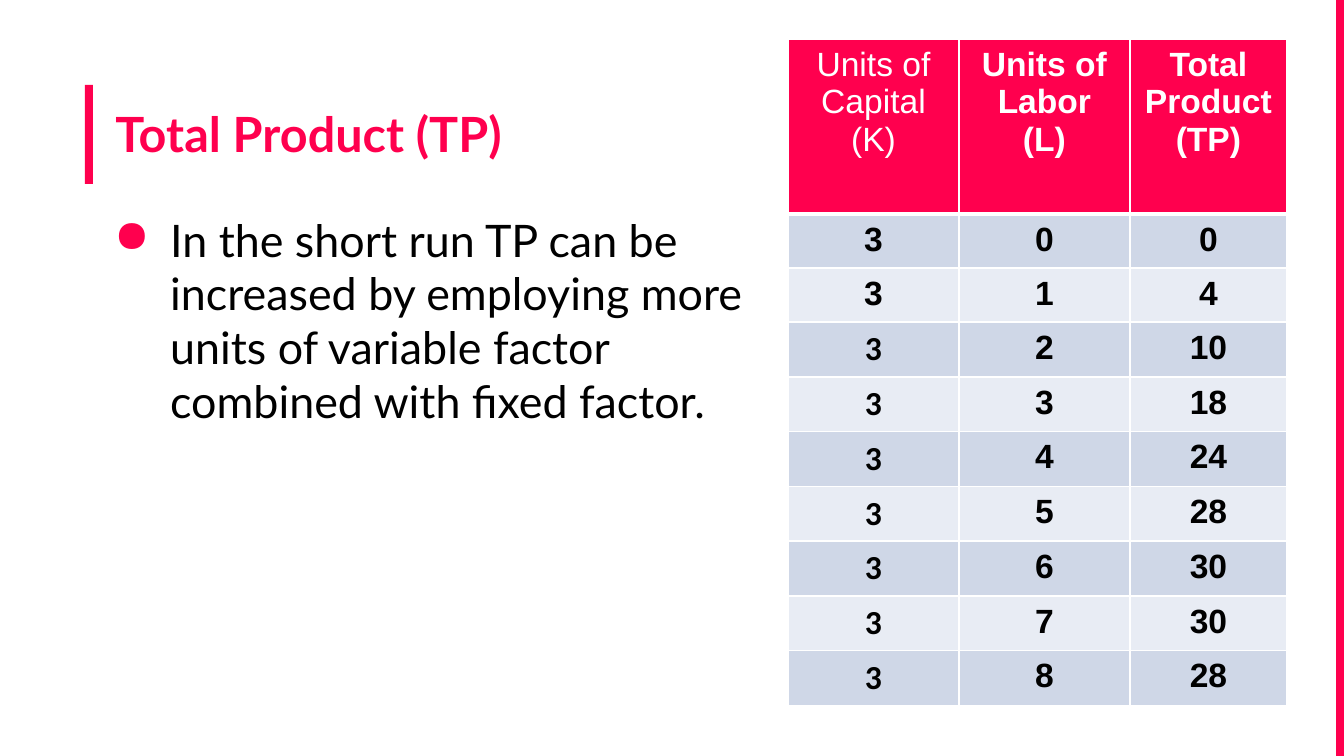
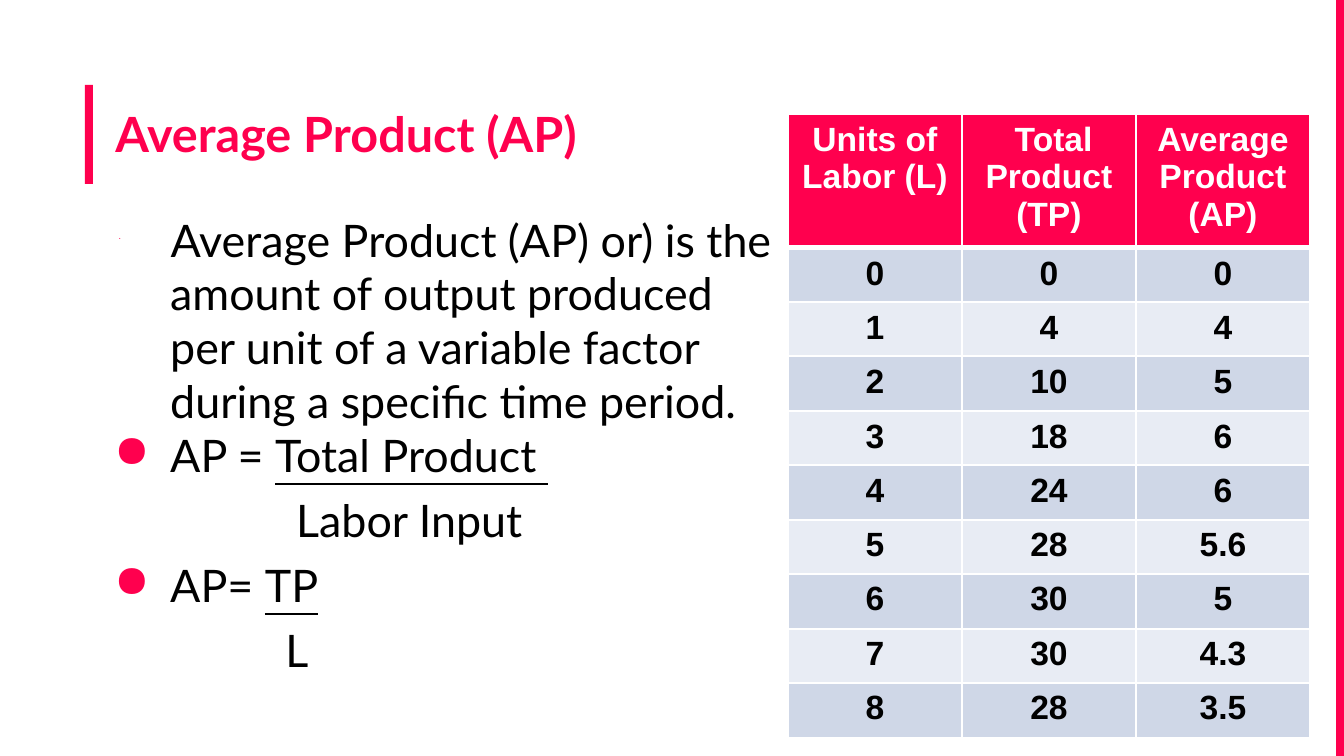
"""Build two slides on total product and average product."""
import pptx
import pptx.dml.color
import pptx.enum.shapes
import pptx.enum.text
import pptx.oxml
import pptx.oxml.ns
import pptx.util

PINK = pptx.dml.color.RGBColor(0xFF, 0x00, 0x4E)
BLACK = pptx.dml.color.RGBColor(0x00, 0x00, 0x00)
WHITE = pptx.dml.color.RGBColor(0xFF, 0xFF, 0xFF)
DARK_BAND = pptx.dml.color.RGBColor(0xCF, 0xD7, 0xE7)
LIGHT_BAND = pptx.dml.color.RGBColor(0xE8, 0xEC, 0xF4)

EMU_PER_PX = 914400 / 134.4
SLIDE_WIDTH, SLIDE_HEIGHT = 1344, 756
BARS = [(85, 85, 8, 99), (1336, 0, 8, SLIDE_HEIGHT)]
TABLE_LEFT = 788
DATA_HEIGHT = 490
TEXT_INDENT = 67

LABOR = ["0", "1", "2", "3", "4", "5", "6", "7", "8"]
TOTAL = ["0", "4", "10", "18", "24", "28", "30", "30", "28"]
AVERAGE = ["0", "4", "5", "6", "6", "5.6", "5", "4.3", "3.5"]

SLIDES = [
    {
        "title": "Total Product (TP)",
        "body": [
            (TEXT_INDENT, -56, 0, [
                ("In the short run TP can be increased by employing more units "
                 "of variable factor combined with fixed factor.", 24, False)]),
        ],
        "headers": ["Units of Capital (K)", "Units of Labor (L)", "Total Product (TP)"],
        "columns": [["3"] * 9, LABOR, TOTAL],
        "widths": [171, 171, 157],
        "top": 39,
        "header_height": 175,
    },
    {
        "title": "Average Product (AP)",
        "body": [
            (TEXT_INDENT, -51, 0, [
                (" ", 1, False),
                ("Average Product (AP) or) is the amount of output produced per unit "
                 "of a variable factor during a specific time period.", 24, False)]),
            (TEXT_INDENT, -56, 0, [("AP = ", 24, False), ("Total Product ", 24, True)]),
            (193, 0, 6, [("Labor Input", 24, False)]),
            (TEXT_INDENT, -56, 6, [("AP= ", 24, False), ("TP", 24, True)]),
            (182, 0, 6, [("L", 24, False)]),
        ],
        "headers": ["Units of Labor (L)", " Total Product (TP)", "Average Product (AP)"],
        "columns": [LABOR, TOTAL, AVERAGE],
        "widths": [174, 174, 174],
        "top": 114,
        "header_height": 134,
    },
]


def px(length):
    return pptx.util.Emu(round(length * EMU_PER_PX))


def add_run(paragraph, text, font_name, size, color, bold=False):
    run = paragraph.add_run()
    run.text = text
    run.font.name = font_name
    run.font.size = pptx.util.Pt(size)
    run.font.color.rgb = color
    run.font.bold = bold
    return run


presentation = pptx.Presentation()
presentation.slide_width = px(SLIDE_WIDTH)
presentation.slide_height = px(SLIDE_HEIGHT)

for content in SLIDES:
    slide = presentation.slides.add_slide(presentation.slide_layouts[5])

    for bar in BARS:
        shape = slide.shapes.add_shape(
            pptx.enum.shapes.MSO_SHAPE.RECTANGLE, *[px(length) for length in bar])
        shape.shadow.inherit = False
        shape.fill.solid()
        shape.fill.fore_color.rgb = PINK
        shape.line.fill.background()

    title = slide.shapes.title
    title.left, title.top, title.width, title.height = px(102), px(91), px(1220), px(97)
    body = slide.shapes.add_textbox(px(90), px(199), px(698), px(539))
    for shape in (title, body):
        frame = shape.text_frame
        frame.word_wrap = True
        frame.auto_size = pptx.enum.text.MSO_AUTO_SIZE.NONE
        frame.vertical_anchor = pptx.enum.text.MSO_ANCHOR.TOP
        frame.margin_left = frame.margin_right = pptx.util.Inches(0.1)
        frame.margin_top = frame.margin_bottom = pptx.util.Inches(0.1)

    paragraph = title.text_frame.paragraphs[0]
    paragraph.alignment = pptx.enum.text.PP_ALIGN.LEFT
    add_run(paragraph, content["title"], "Lato", 26, PINK, True)

    for index, (margin, indent, space, runs) in enumerate(content["body"]):
        frame = body.text_frame
        paragraph = frame.add_paragraph() if index else frame.paragraphs[0]
        properties = paragraph._p.get_or_add_pPr()
        properties.set("marL", str(px(margin)))
        properties.set("indent", str(px(indent)))
        if indent:
            namespace = pptx.oxml.ns.nsdecls("a")
            for xml in (f'<a:buClr {namespace}><a:srgbClr val="{PINK}"/></a:buClr>',
                        f'<a:buChar {namespace} char="●"/>'):
                properties.append(pptx.oxml.parse_xml(xml))
        paragraph.space_before = pptx.util.Pt(space)
        for text, size, underlined in runs:
            add_run(paragraph, text, "Lato", size, BLACK).font.underline = underlined

    rows = [content["headers"], *zip(*content["columns"])]
    count = len(rows) - 1
    table = slide.shapes.add_table(
        len(rows), len(content["widths"]), px(TABLE_LEFT), px(content["top"]),
        px(sum(content["widths"])), px(content["header_height"] + DATA_HEIGHT)).table
    for column, width in zip(table.columns, content["widths"]):
        column.width = px(width)

    for row_index, row in enumerate(rows):
        is_header = row_index == 0
        if is_header:
            height, fill = content["header_height"], PINK
        else:
            height = row_index * DATA_HEIGHT // count - (row_index - 1) * DATA_HEIGHT // count
            fill = DARK_BAND if row_index % 2 else LIGHT_BAND
        table.rows[row_index].height = px(height)
        edges = {"L": 1, "R": 1, "T": 3 if row_index == 1 else 1, "B": 3 if is_header else 1}

        for column_index, text in enumerate(row):
            cell = table.cell(row_index, column_index)
            cell_properties = cell._tc.get_or_add_tcPr()
            for edge, points in edges.items():
                cell_properties.append(pptx.oxml.parse_xml(
                    f'<a:ln{edge} {pptx.oxml.ns.nsdecls("a")} w="{pptx.util.Pt(points)}">'
                    f'<a:solidFill><a:srgbClr val="{WHITE}"/></a:solidFill></a:ln{edge}>'))
            cell.fill.solid()
            cell.fill.fore_color.rgb = fill
            is_capital = content["headers"][column_index] == "Units of Capital (K)"
            paragraph = cell.text_frame.paragraphs[0]
            paragraph.alignment = pptx.enum.text.PP_ALIGN.CENTER
            add_run(paragraph, text,
                    "Calibri" if is_capital and row_index > 2 else "Arial", 18,
                    WHITE if is_header else BLACK, not (is_capital and is_header))

presentation.save("out.pptx")
